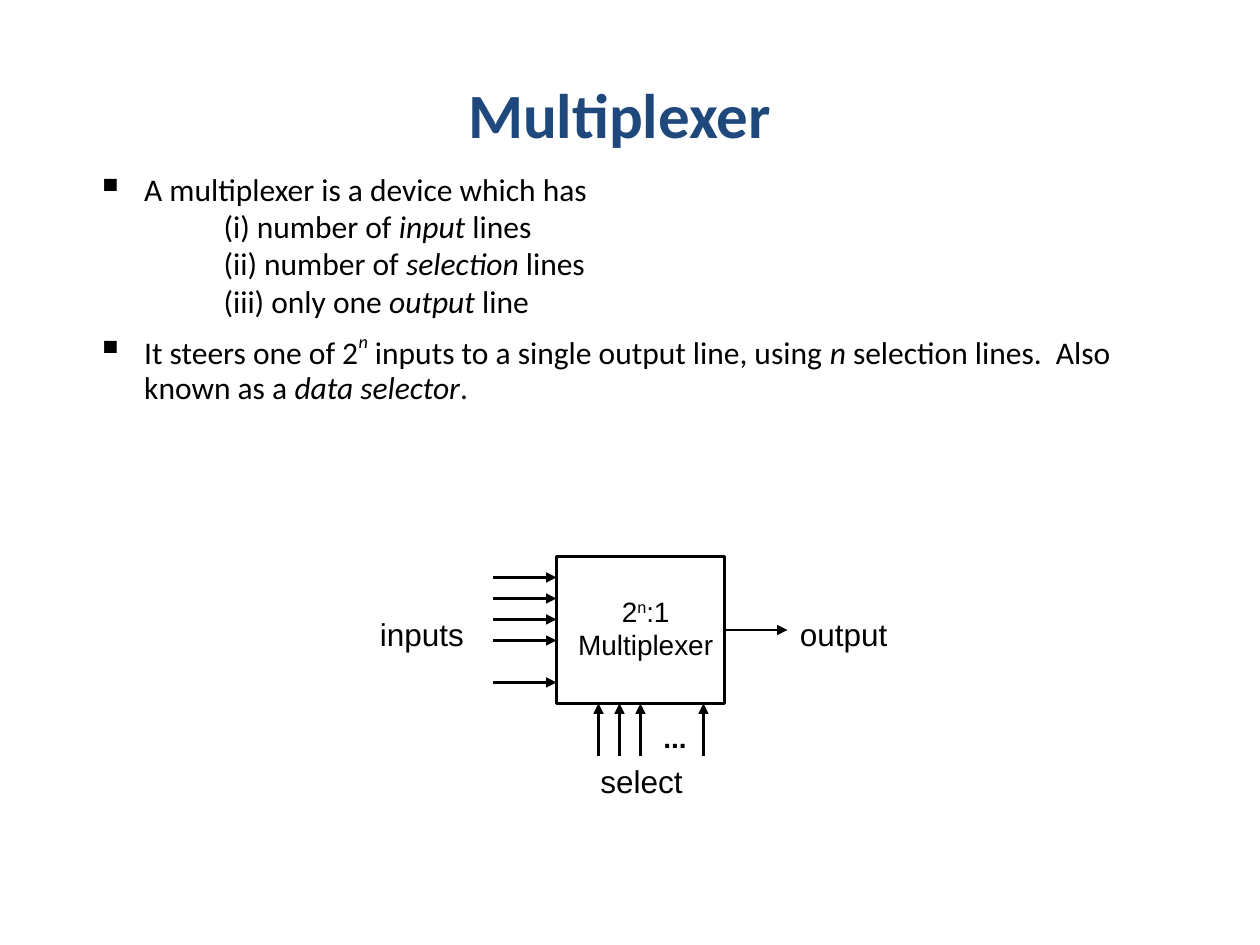
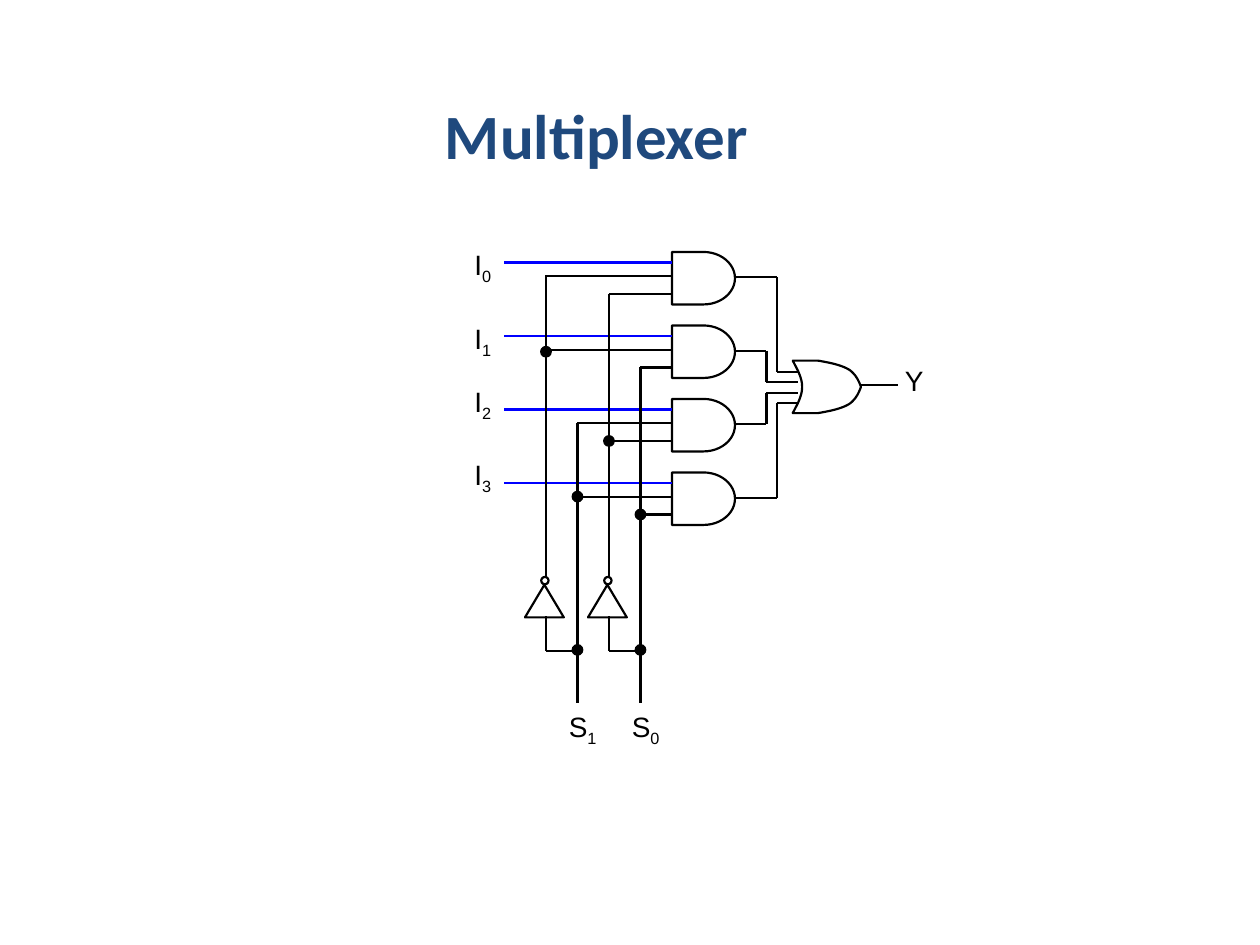
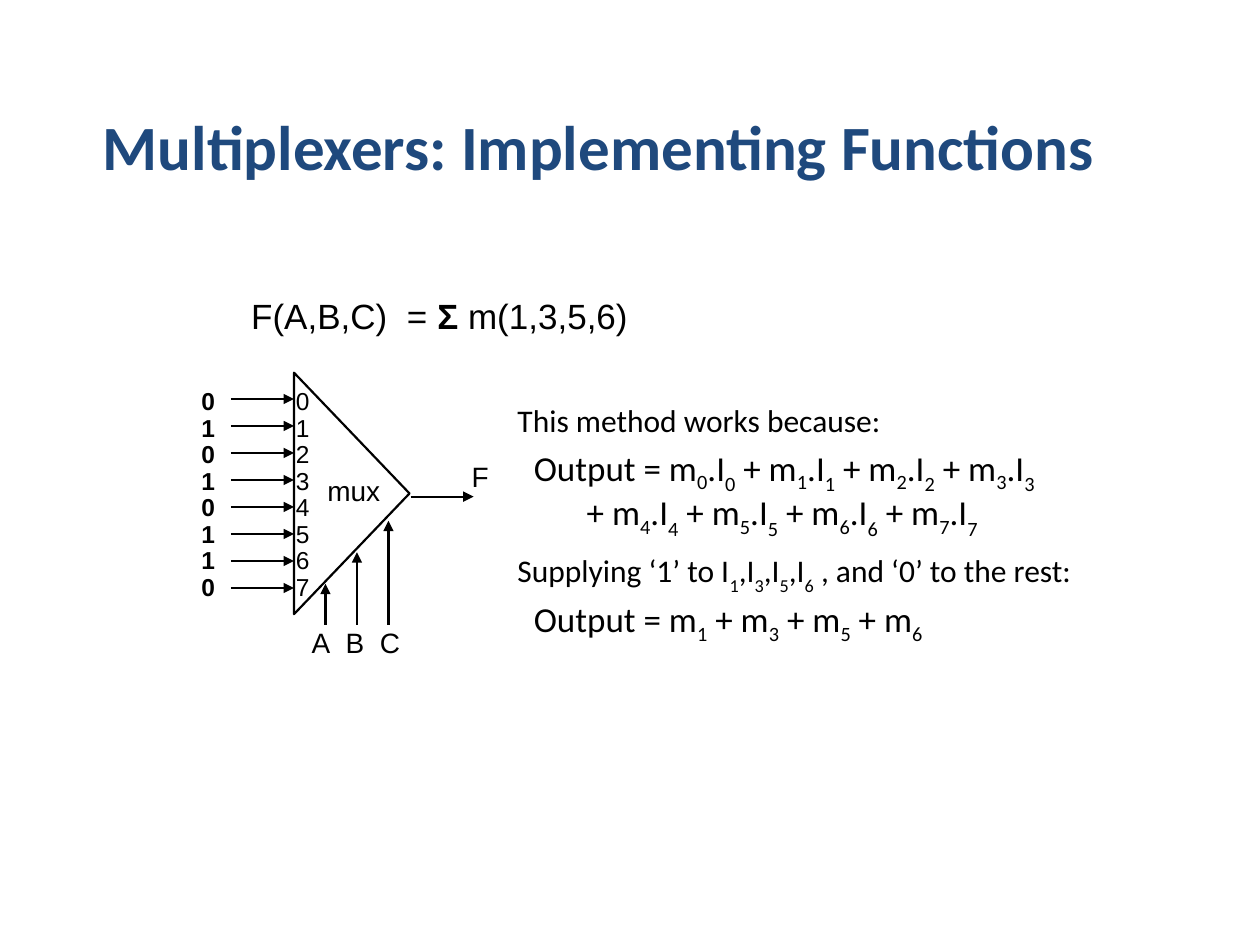
import dataclasses

import lxml.etree
import pptx
import pptx.dml.color
import pptx.enum.shapes
import pptx.enum.text
import pptx.oxml.ns
import pptx.util

SHAPE = pptx.enum.shapes.MSO_SHAPE
ALIGN = pptx.enum.text.PP_ALIGN
ANCHOR = pptx.enum.text.MSO_ANCHOR
qn = pptx.oxml.ns.qn


def color(value):
    return pptx.dml.color.RGBColor.from_string(value)


def bezier(a, b, c, d, steps=12):
    points = []
    for i in range(steps + 1):
        t = i / steps
        weights = ((1 - t) ** 3, 3 * t * (1 - t) ** 2, 3 * t * t * (1 - t), t ** 3)
        points.append(tuple(sum(k * q[axis] for k, q in zip(weights, (a, b, c, d)))
                            for axis in (0, 1)))
    return points


@dataclasses.dataclass
class Para:
    text: str
    left: float = 0
    first: float = 0
    before: float = 0
    size: float = 18
    bullet: bool = False


class Deck:
    COLUMNS, ROWS = 120, 90
    INK, TITLE, DATA = "000000", "1F497D", "0000FF"
    BODY_FONT, LABEL_FONT = "Calibri", "Arial"
    WIRE = 1.25
    MARKS = {"~": {"i": "1"}, "#": {"b": "1"},
             "^": {"baseline": "30000"}, "!": {"i": "1", "baseline": "50000"},
             "_": {"baseline": "-25000"}, "=": {"baseline": "-30000"}}

    def __init__(self):
        self.prs = pptx.Presentation()
        self.prs.slide_width = pptx.util.Inches(10)
        self.prs.slide_height = pptx.util.Inches(7.5)
        self.s = None

    def x(self, columns):
        return round(self.prs.slide_width * columns / self.COLUMNS)

    def y(self, rows):
        return round(self.prs.slide_height * rows / self.ROWS)

    def place(self, x, y, w, h):
        return self.x(x), self.y(y), self.x(w), self.y(h)

    def slide(self):
        self.s = self.prs.slides.add_slide(self.prs.slide_layouts[6])

    def text(self, x, y, w, h, paras, font=BODY_FONT, ink=INK, bold=False,
             align=ALIGN.LEFT, anchor=ANCHOR.TOP, spacing=1.0):
        tf = self.s.shapes.add_textbox(*self.place(x, y, w, h)).text_frame
        tf.word_wrap = True
        tf.vertical_anchor = anchor
        for i, para in enumerate(paras):
            p = tf.paragraphs[0] if i == 0 else tf.add_paragraph()
            p.alignment = align
            self.indent(p, para)
            p.line_spacing = spacing
            p.space_before = pptx.util.Pt(para.before)
            for part in para.text.split("|"):
                self.run(p, part, para.size, font, ink, bold)

    def indent(self, p, para):
        pPr = p._p.get_or_add_pPr()
        pPr.set("marL", str(pptx.util.Inches(para.left)))
        pPr.set("indent", str(pptx.util.Inches(para.first)))
        if para.bullet:
            lxml.etree.SubElement(pPr, qn("a:buSzPct"), val="120000")
            lxml.etree.SubElement(pPr, qn("a:buChar"), char="▪")

    def run(self, p, part, size, font, ink, bold):
        if part == "\n":
            p.add_line_break()
            return
        mark = self.MARKS.get(part[0], {})
        r = p.add_run()
        r.text = part[1:] if mark else part
        r.font.name = font
        r.font.size = pptx.util.Pt(size)
        r.font.bold = bold
        r.font.color.rgb = color(ink)
        for key, value in mark.items():
            r.font._element.set(key, value)

    def title(self, x, y, w, text, left=0, align=ALIGN.CENTER):
        self.text(x, y, w, 15, [Para(text, left=left, size=36)], ink=self.TITLE,
                  bold=True, align=align, anchor=ANCHOR.BOTTOM)

    def label(self, x, y, w, text, size=16, **style):
        lines = [Para(line, size=size) for line in text.split("\n")]
        self.text(x, y, w, 4.5 * len(lines), lines, font=self.LABEL_FONT, **style)

    def outline(self, sp, width=WIRE, fill=None):
        sp.shadow.inherit = False
        sp.line.color.rgb = color(self.INK)
        sp.line.width = pptx.util.Pt(width)
        if fill:
            sp.fill.solid()
            sp.fill.fore_color.rgb = color(fill)
        else:
            sp.fill.background()

    def shape(self, kind, x, y, w, h, width=WIRE, fill=None, rotation=0):
        sp = self.s.shapes.add_shape(kind, *self.place(x, y, w, h))
        sp.rotation = rotation
        self.outline(sp, width, fill)

    def dot(self, x, y):
        self.shape(SHAPE.OVAL, x - 0.5, y - 0.5, 1, 1, 0.75, self.INK)

    def freeform(self, points):
        points = [(self.x(x), self.y(y)) for x, y in points]
        builder = self.s.shapes.build_freeform(*points[0])
        builder.add_line_segments(points[1:], close=True)
        self.outline(builder.convert_to_shape())

    def wire(self, *points, ink=INK, arrow=False):
        for (x1, y1), (x2, y2) in zip(points, points[1:]):
            c = self.s.shapes.add_connector(
                pptx.enum.shapes.MSO_CONNECTOR.STRAIGHT,
                self.x(x1), self.y(y1), self.x(x2), self.y(y2))
            c.line.color.rgb = color(ink)
            c.line.width = pptx.util.Pt(self.WIRE)
            spPr = c._element.spPr
            if arrow:
                lxml.etree.SubElement(spPr.find(qn("a:ln")), qn("a:tailEnd"), type="triangle")
            lxml.etree.SubElement(spPr, qn("a:effectLst"))

    def arrow(self, start, end):
        self.wire(start, end, arrow=True)


def block_diagram(d):
    d.slide()
    d.title(8, 0, 102, "Multiplexer")
    items = ["(i) number of |~input| lines", "(ii) number of |~selection| lines",
             "(iii) only one |~output| line"]
    d.text(8, 16, 102, 35, [
        Para("A multiplexer is a device which has", 0.38, -0.38, bullet=True),
        *[Para(item, left=1.01, before=1.8) for item in items],
        Para("It steers one of 2|!n| inputs to a single output line, using |~n"
             "| selection lines.  Also known as a |~data selector|.",
             0.38, -0.38, before=9, bullet=True)], spacing=0.9)
    d.shape(SHAPE.RECTANGLE, 53, 53, 16, 14, 1.5)
    d.label(53, 56, 17, "2|^n|:1\nMultiplexer", align=ALIGN.CENTER)
    for y in (55, 57, 59, 61, 65):
        d.arrow((47, y), (53, y))
    for x in (57, 59, 61, 67):
        d.arrow((x, 72), (x, 67))
    d.arrow((69, 60), (75, 60))
    d.label(35, 58, 11, "inputs", 18)
    d.label(75, 58, 11, "output", 18)
    d.label(56, 72, 12, "select", 18)
    d.label(62, 68, 5, "...", bold=True)


def or_gate(d, axis):
    top = axis - 2.5
    back = bezier((76.4, axis), (76.4, axis - 0.85), (75.96, top + 0.85), (75.5, top))
    nose = (bezier((77.9, top), (79.1, top + 0.2), (80.3, top + 0.45), (81, top + 0.95))
            + bezier((81, top + 0.95), (81.6, top + 1.45), (81.84, axis - 0.45), (82, axis)))
    upper = back + nose
    d.freeform(upper + [(x, 2 * axis - y) for x, y in reversed(upper)])


def gate_circuit(d):
    d.slide()
    d.title(13, 2, 102, "Multiplexer", left=2.35, align=ALIGN.LEFT)
    not_s1, s1, not_s0, s0 = 52, 55, 58, 61
    gates = [(not_s1, not_s0, 23, 74), (not_s1, s0, 30, 73),
             (s1, not_s0, 36, 73), (s1, s0, 43, 74)]
    for i, (high, low, label_y, turn) in enumerate(gates):
        y = 24 + 7 * i
        out, into = y + 2.4, 35.4 + i
        d.shape(SHAPE.FLOWCHART_DELAY, 64, y, 6, 5)
        d.wire((48, y + 1), (64, y + 1), ink=d.DATA)
        d.wire((high, y + 2.3), (64, y + 2.3))
        d.wire((low, y + 4), (64, y + 4))
        d.wire((70, out), (turn, out), (turn, into), (76, into))
        d.label(44, label_y, 5, f"I|_{i}")
    for inverted, direct, first, inverted_first, name in (
            (not_s1, s1, 40.3, 26.2, 1), (not_s0, s0, 35, 28, 0)):
        d.wire((inverted, inverted_first), (inverted, 55))
        d.wire((direct, first), (direct, 67))
        d.wire((inverted, 58.7), (inverted, 62), (direct, 62))
        d.shape(SHAPE.FLOWCHART_EXTRACT, inverted - 2, 55.7, 3.7, 3.1)
        d.shape(SHAPE.OVAL, inverted - 0.45, 54.95, 0.7, 0.7)
        d.dot(direct, 61.9)
        d.label(direct - 2, 67, 6, f"S|_{name}")
    for x, y in ((not_s1, 33.5), (s1, 47.3), (not_s0, 42), (s0, 49)):
        d.dot(x, y)
    or_gate(d, 36.85)
    d.wire((82, 36.7), (85.5, 36.7))
    d.label(85, 34, 5, "Y")


def implementing_functions(d):
    d.slide()
    d.title(1, 3, 112, "Multiplexers: Implementing Functions")
    terms = [f"m|_{n}|.I|={n}" for n in range(8)]
    first, second = "| + ".join(terms[:4]), "| + ".join(terms[4:])
    chosen = "| + ".join(f"m|_{n}" for n in (1, 3, 5, 6))
    supplied = "|,".join(f"I|={n}" for n in (1, 3, 5, 6))
    d.text(48.1, 38, 64, 35, [
        Para("This method works because:"),
        Para(f"Output = {first}|\n|+ {second}", 0.55, -0.42, before=4, size=20),
        Para(f"Supplying ‘1’ to {supplied}| , and ‘0’ to the rest:", before=9),
        Para(f"Output = {chosen}", left=0.13, before=4, size=20)], spacing=0.9)
    d.label(22.75, 27.5, 42, "F(A,B,C)  = |#Σ| m(1,3,5,6)", 20)
    d.shape(SHAPE.ISOSCELES_TRIANGLE, 22, 41.5, 23, 11, rotation=90)
    d.label(30, 44.5, 9, "mux")
    for i in range(8):
        y = 38 + 18 * i / 7
        d.arrow((22, y), (28, y))
    d.label(27, 36.5, 5, "\n".join(str(n) for n in range(8)), 14, spacing=0.9)
    d.label(18, 36.5, 5, "\n".join("01010110"), 14, bold=True, spacing=0.9)
    for i, name in enumerate("ABC"):
        d.arrow((31 + 3 * i, 59.5), (31 + 3 * i, 55.6 - 3 * i))
        d.label(28.5 + 3.25 * i, 59, 5, name)
    d.arrow((39.1, 47.3), (45.1, 47.3))
    d.label(43.75, 43.2, 5, "F")


def main():
    d = Deck()
    block_diagram(d)
    gate_circuit(d)
    implementing_functions(d)
    d.prs.save("out.pptx")


if __name__ == "__main__":
    main()
